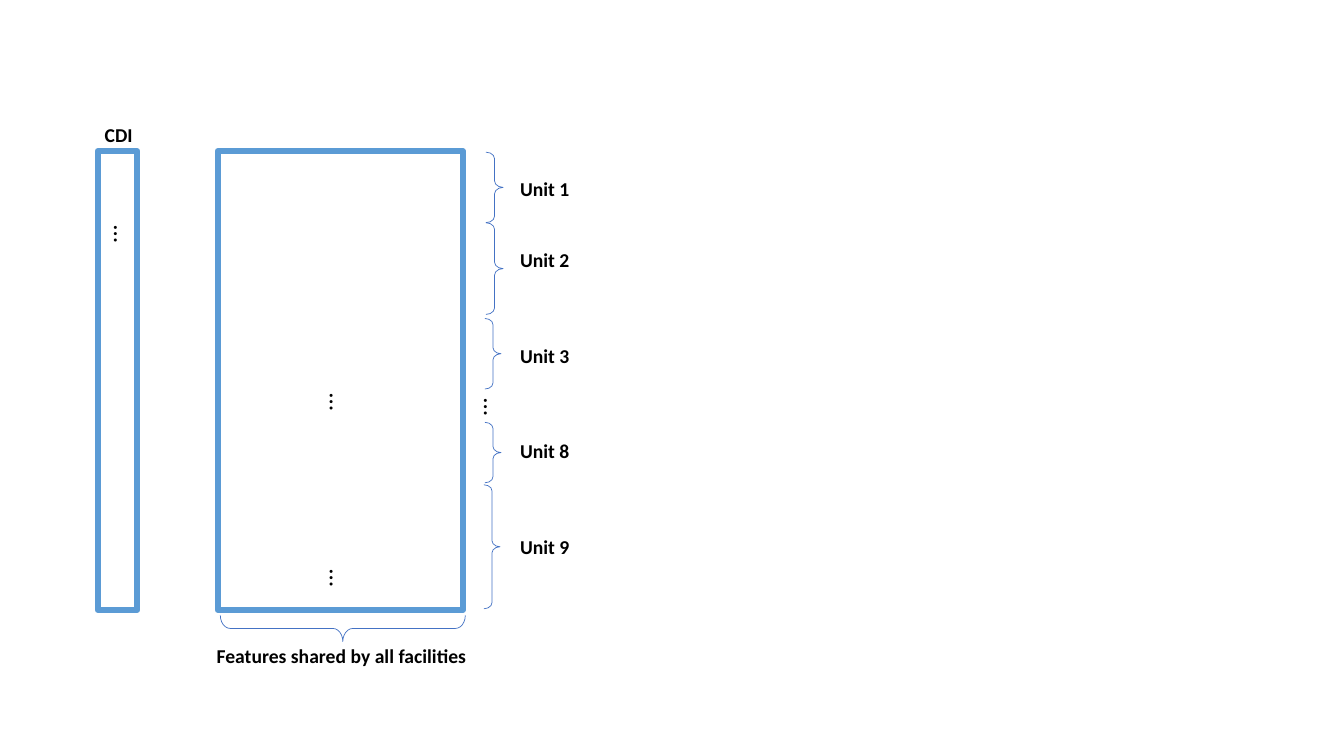
from dataclasses import dataclass

from pptx import Presentation
from pptx.dml.color import RGBColor
from pptx.enum.shapes import MSO_SHAPE
from pptx.enum.text import MSO_AUTO_SIZE
from pptx.shapes.autoshape import Shape
from pptx.slide import Slide
from pptx.util import Emu, Pt

EMU_PER_PX = 9144  # 100 px to the inch
BLACK, WHITE = "000000", "FFFFFF"
FRAME_BLUE, BRACE_BLUE = "5B9BD5", "4472C4"


@dataclass(frozen=True)
class Area:
    left: int
    top: int
    width: int
    height: int

    def emu(self) -> tuple[Emu, ...]:
        sides = (self.left, self.top, self.width, self.height)
        return tuple(Emu(side * EMU_PER_PX) for side in sides)


@dataclass(frozen=True)
class Unit:
    name: str
    brace: Area
    label_top: int


MATRICES = [Area(97, 150, 39, 455), Area(216, 150, 243, 455)]
UNITS = [
    Unit("Unit 1", Area(482, 151, 17, 70), 171),
    Unit("Unit 2", Area(482, 221, 17, 91), 241),
    Unit("Unit 3", Area(481, 316, 16, 70), 336),
    Unit("Unit 8", Area(481, 419, 16, 60), 431),
    Unit("Unit 9", Area(480, 481, 16, 123), 526),
]
FEATURES_BRACE = Area(327, 502, 26, 243)
CAPTIONS = {
    "CDI": Area(94, 117, 48, 34),
    "Features shared by all facilities": Area(205, 634, 270, 34),
}
DOT_CORNERS = [(104, 213), (471, 385), (318, 380), (318, 554)]


def color(value: str) -> RGBColor:
    return RGBColor.from_string(value)


def add_outline(page: Slide, kind: MSO_SHAPE, area: Area, line: str, points: float) -> Shape:
    shape = page.shapes.add_shape(kind, *area.emu())
    shape.shadow.inherit = False
    shape.line.color.rgb = color(line)
    shape.line.width = Pt(points)
    return shape


def add_matrix(page: Slide, area: Area) -> None:
    matrix = add_outline(page, MSO_SHAPE.RECTANGLE, area, FRAME_BLUE, 4.5)
    matrix.fill.solid()
    matrix.fill.fore_color.rgb = color(WHITE)


def add_brace(page: Slide, area: Area, rotation: int = 0) -> None:
    brace = add_outline(page, MSO_SHAPE.RIGHT_BRACE, area, BRACE_BLUE, 0.5)
    brace.fill.background()
    brace.adjustments[0] = 0.38
    brace.rotation = rotation


def add_text(page: Slide, text: str, area: Area, size: int = 14,
             bold: bool = True, rotation: int = 0) -> None:
    box = page.shapes.add_textbox(*area.emu())
    box.rotation = rotation
    frame = box.text_frame
    frame.word_wrap = False
    frame.auto_size = MSO_AUTO_SIZE.SHAPE_TO_FIT_TEXT
    span = frame.paragraphs[0].add_run()
    span.text = text
    for name, value in {"name": "Calibri", "size": Pt(size), "bold": bold}.items():
        setattr(span.font, name, value)
    span.font.color.rgb = color(BLACK)


def main() -> None:
    deck = Presentation()
    deck.slide_width = Emu(1333 * EMU_PER_PX)
    deck.slide_height = Emu(750 * EMU_PER_PX)
    page = deck.slides.add_slide(deck.slide_layouts[6])

    for area in MATRICES:
        add_matrix(page, area)
    add_brace(page, FEATURES_BRACE, rotation=90)
    for text, area in CAPTIONS.items():
        add_text(page, text, area)
    for unit in UNITS:
        add_brace(page, unit.brace)
        add_text(page, unit.name, Area(506, unit.label_top, 70, 34))
    for left, top in DOT_CORNERS:
        add_text(page, "…", Area(left, top, 38, 40), size=18, bold=False, rotation=90)

    deck.save("out.pptx")


if __name__ == "__main__":
    main()
